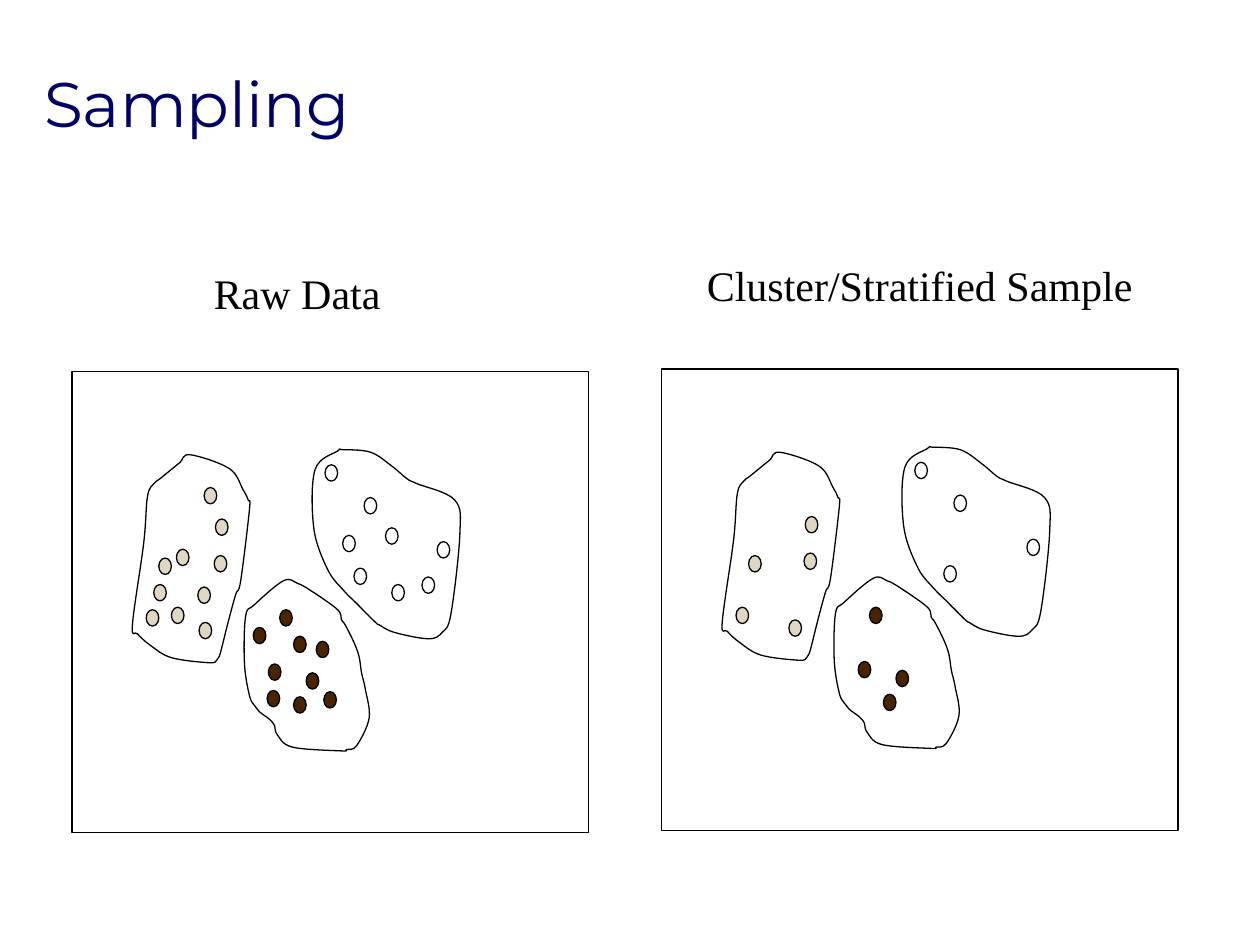
"""Build a slide comparing raw data with a cluster/stratified sample."""
from dataclasses import dataclass

from lxml import etree
from pptx import Presentation
from pptx import util as u
from pptx.dml.color import RGBColor
from pptx.enum import shapes, text
from pptx.oxml.ns import qn

Cm = u.Cm


@dataclass(frozen=True)
class Theme:
    """Colours, fonts and sizes of the slide."""
    title_font: str = "Montserrat"
    label_font: str = "Times New Roman"
    title_size: int = 36
    label_size: int = 24
    title: str = "000066"
    ink: str = "000000"
    line: float = 0.74


@dataclass(frozen=True)
class Box:
    """A rectangle on the slide."""
    left: int
    top: int
    width: int
    height: int


@dataclass(frozen=True)
class Cluster:
    """A group of data points, in panel grid units."""
    fill: str
    outline: tuple
    sampled: tuple
    others: tuple


THEME = Theme()
GRID = (410, 366)
DOT = (10, 13)

CLUSTERS = (
    Cluster(
        "FFFFFF",
        ((304, 102), (308, 129), (301, 192), (294, 207), (283, 212), (256, 207),
         (244, 201), (241, 199), (226, 184), (216, 174), (203, 157), (192, 124),
         (193, 78), (211, 63), (215, 62), (237, 64), (254, 75), (266, 85), (274, 89)),
        ((232, 100), (224, 156), (290, 135), (201, 74)),
        ((249, 124), (215, 130), (278, 163), (254, 169)),
    ),
    Cluster(
        "482400",
        ((161, 281), (157, 276), (149, 270), (145, 265), (141, 257), (137, 231),
         (138, 194), (145, 185), (168, 166), (179, 168), (190, 174), (211, 189),
         (214, 197), (217, 201), (224, 215), (228, 226), (230, 239), (233, 252),
         (236, 275), (226, 297), (218, 300), (214, 301), (175, 298), (163, 288)),
        ((176, 258), (186, 239), (156, 232), (165, 189)),
        ((144, 203), (194, 214), (155, 253), (176, 210), (200, 254)),
    ),
    Cluster(
        "DFD6C3",
        ((130, 177), (124, 199), (119, 219), (117, 226), (115, 229), (109, 231),
         (79, 227), (62, 217), (52, 208), (48, 201), (57, 136), (60, 99), (65, 89),
         (70, 85), (81, 76), (86, 72), (94, 66), (125, 77), (136, 94), (140, 102),
         (141, 109), (134, 166)),
        ((59, 189), (69, 148), (101, 199), (113, 146), (114, 117)),
        ((79, 187), (65, 169), (100, 171), (83, 141), (105, 92)),
    ),
)


def style(shape, fill=None):
    """Give a shape a thin outline and an optional fill."""
    shape.shadow.inherit = False
    shape.line.color.rgb = RGBColor.from_string(THEME.ink)
    shape.line.width = u.Pt(THEME.line)
    if fill:
        shape.fill.solid()
        shape.fill.fore_color.rgb = RGBColor.from_string(fill)
    else:
        shape.fill.background()


def smooth_outline(shape):
    """Turn the straight sides of a closed freeform into a smooth curve."""
    element = shape._element
    points = [(int(p.get("x")), int(p.get("y"))) for p in element.iter(qn("a:pt"))][:-1]
    count = len(points)
    for i, side in enumerate(list(element.iter(qn("a:lnTo")))):
        before, start, end, after = (points[(i + k) % count] for k in (-1, 0, 1, 2))
        controls = (
            [s + (e - b) / 6 for b, s, e in zip(before, start, end)],
            [e - (a - s) / 6 for s, e, a in zip(start, end, after)],
            end,
        )
        curve = etree.Element(qn("a:cubicBezTo"))
        for x, y in controls:
            etree.SubElement(curve, qn("a:pt"), x=str(round(x)), y=str(round(y)))
        side.getparent().replace(side, curve)


def add_text(page, box, words, font, size, color, anchor, wrap):
    """Add one line of text in a box."""
    shape = page.shapes.add_textbox(box.left, box.top, box.width, box.height)
    frame = shape.text_frame
    frame.word_wrap = wrap
    frame.vertical_anchor = anchor
    frame.text = words
    span = frame.paragraphs[0].runs[0]
    span.font.name = font
    span.font.size = u.Pt(size)
    span.font.color.rgb = RGBColor.from_string(color)
    return frame


def add_title(page, box, words):
    """Add the slide title, resting on the bottom of its box."""
    frame = add_text(page, box, words, THEME.title_font, THEME.title_size,
                     THEME.title, text.MSO_ANCHOR.BOTTOM, True)
    frame.margin_top = frame.margin_bottom = 0


def add_label(page, box, words):
    """Add the heading of a panel."""
    add_text(page, box, words, THEME.label_font, THEME.label_size,
             THEME.ink, text.MSO_ANCHOR.TOP, False)


def add_panel(page, box, sample_only):
    """Draw the framed clusters with all or only the sampled points."""
    scale_x, scale_y = box.width / GRID[0], box.height / GRID[1]

    def place(point):
        return round(box.left + point[0] * scale_x), round(box.top + point[1] * scale_y)

    parts = page.shapes.add_group_shape().shapes
    style(parts.add_shape(shapes.MSO_SHAPE.RECTANGLE,
                          box.left, box.top, box.width, box.height))
    for cluster in CLUSTERS:
        corners = [place(point) for point in cluster.outline]
        builder = parts.build_freeform(*corners[0])
        builder.add_line_segments(corners[1:] + corners[:1], close=True)
        outline = builder.convert_to_shape()
        smooth_outline(outline)
        style(outline)
        for point in cluster.sampled + (() if sample_only else cluster.others):
            dot = parts.add_shape(shapes.MSO_SHAPE.FLOWCHART_CONNECTOR, *place(point),
                                  round(DOT[0] * scale_x), round(DOT[1] * scale_y))
            style(dot, cluster.fill)


def main():
    """Build and save the slide."""
    deck = Presentation()
    deck.slide_width, deck.slide_height = Cm(25.4), Cm(19.05)
    page = deck.slides.add_slide(deck.slide_layouts[6])
    add_title(page, Box(Cm(0.64), Cm(1.35), Cm(23.93), Cm(1.47)), "Sampling")
    add_panel(page, Box(Cm(1.45), Cm(7.49), Cm(10.41), Cm(9.3)), False)
    add_panel(page, Box(Cm(13.34), Cm(7.44), Cm(10.41), Cm(9.3)), True)
    add_label(page, Box(Cm(4.06), Cm(5.26), Cm(4.06), Cm(1.27)), "Raw Data ")
    add_label(page, Box(Cm(14), Cm(5.11), Cm(9.09), Cm(1.27)), "Cluster/Stratified Sample")
    deck.save("out.pptx")


main()
